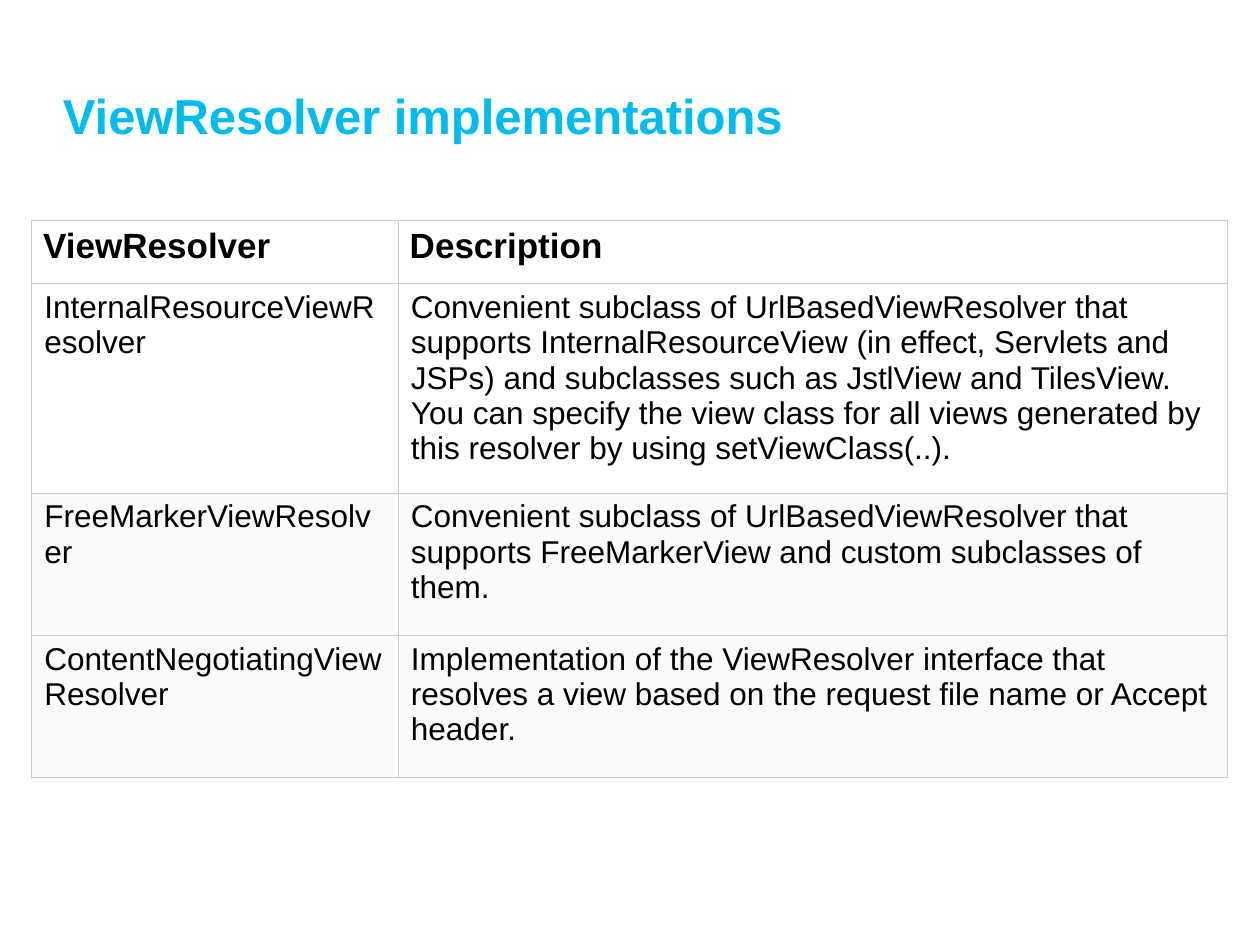
from lxml.etree import SubElement
from pptx import Presentation
from pptx.dml.color import RGBColor as Rgb
from pptx.enum.text import MSO_ANCHOR as Anchor
from pptx.oxml.ns import qn
from pptx.util import Cm, Pt

COLORS = {
    "title": "00BBEE",
    "text": "000000",
    "border": "CACACA",
    "plain": "FFFFFF",
    "shaded": "FAFAFA",
}

FORMATS = {
    "title": {"name": "Arial", "size": Pt(28), "bold": True},
    "header": {"name": "Arial", "size": Pt(20), "bold": True},
    "body": {"name": "Arial", "size": Pt(18), "bold": False},
}

HEADER_MARGINS = {
    "margin_left": Cm(0.23),
    "margin_right": Cm(0.23),
    "margin_top": Cm(0.12),
    "margin_bottom": Cm(0.12),
}

COLUMN_WIDTHS = (7.39, 16.71)

# Row height, text format, fill, texts; names are joined by no-break spaces
ROWS = [
    (1.27, "header", "plain", ("ViewResolver", "Description")),
    (4.22, "body", "plain", (
        "InternalResourceViewResolver",
        "Convenient subclass of UrlBasedViewResolver that "
        "supports InternalResourceView (in effect, Servlets and JSPs) "
        "and subclasses such as JstlView and TilesView. You can specify "
        "the view class for all views generated by this resolver "
        "by using setViewClass(..).")),
    (2.87, "body", "shaded", (
        "FreeMarkerViewResolver",
        "Convenient subclass of UrlBasedViewResolver that "
        "supports FreeMarkerView and custom subclasses of them.")),
    (2.87, "body", "shaded", (
        "ContentNegotiatingView Resolver",
        "Implementation of the ViewResolver interface that resolves "
        "a view based on the request file name or Accept header.")),
]


def set_all(target, values):
    for name, value in values.items():
        setattr(target, name, value)


def write(frame, text, style, color):
    paragraph = frame.paragraphs[0]
    run = paragraph.add_run()
    run.text = text
    set_all(run.font, FORMATS[style])
    run.font.color.rgb = Rgb.from_string(COLORS[color])
    return paragraph


def add_title(slide, text):
    box = slide.shapes.add_textbox(Cm(1.27), Cm(0.51), Cm(22.86), Cm(2.41))
    frame = box.text_frame
    set_all(frame, {
        "word_wrap": True,
        "vertical_anchor": Anchor.BOTTOM,
        "margin_left": 0,
        "margin_right": 0,
        "margin_top": 0,
        "margin_bottom": 0,
    })
    write(frame, text, "title", "title").line_spacing = Pt(26)


def add_borders(cell):
    properties = cell._tc.get_or_add_tcPr()
    for side in ("a:lnL", "a:lnR", "a:lnT", "a:lnB"):
        line = SubElement(properties, qn(side), w=str(Pt(0.6)))
        fill = SubElement(line, qn("a:solidFill"))
        SubElement(fill, qn("a:srgbClr"), val=COLORS["border"])


def fill_cell(cell, text, style, fill):
    write(cell.text_frame, text, style, "text")
    if style == "header":
        set_all(cell, HEADER_MARGINS)
    add_borders(cell)
    cell.fill.solid()
    cell.fill.fore_color.rgb = Rgb.from_string(COLORS[fill])


def add_resolver_table(slide):
    heights = [row[0] for row in ROWS]
    resolvers = slide.shapes.add_table(
        len(ROWS), len(COLUMN_WIDTHS), Cm(0.64), Cm(4.45),
        Cm(sum(COLUMN_WIDTHS)), Cm(sum(heights))).table
    for column, width in zip(resolvers.columns, COLUMN_WIDTHS):
        column.width = Cm(width)
    for row, (height, style, fill, texts) in zip(resolvers.rows, ROWS):
        row.height = Cm(height)
        for cell, text in zip(row.cells, texts):
            fill_cell(cell, text, style, fill)


def main():
    deck = Presentation()
    set_all(deck, {"slide_width": Cm(25.4), "slide_height": Cm(19.05)})
    slide = deck.slides.add_slide(deck.slide_layouts[6])

    # Heading
    add_title(slide, "ViewResolver implementations")

    # Resolvers and what they do
    add_resolver_table(slide)

    deck.save("out.pptx")


if __name__ == "__main__":
    main()
